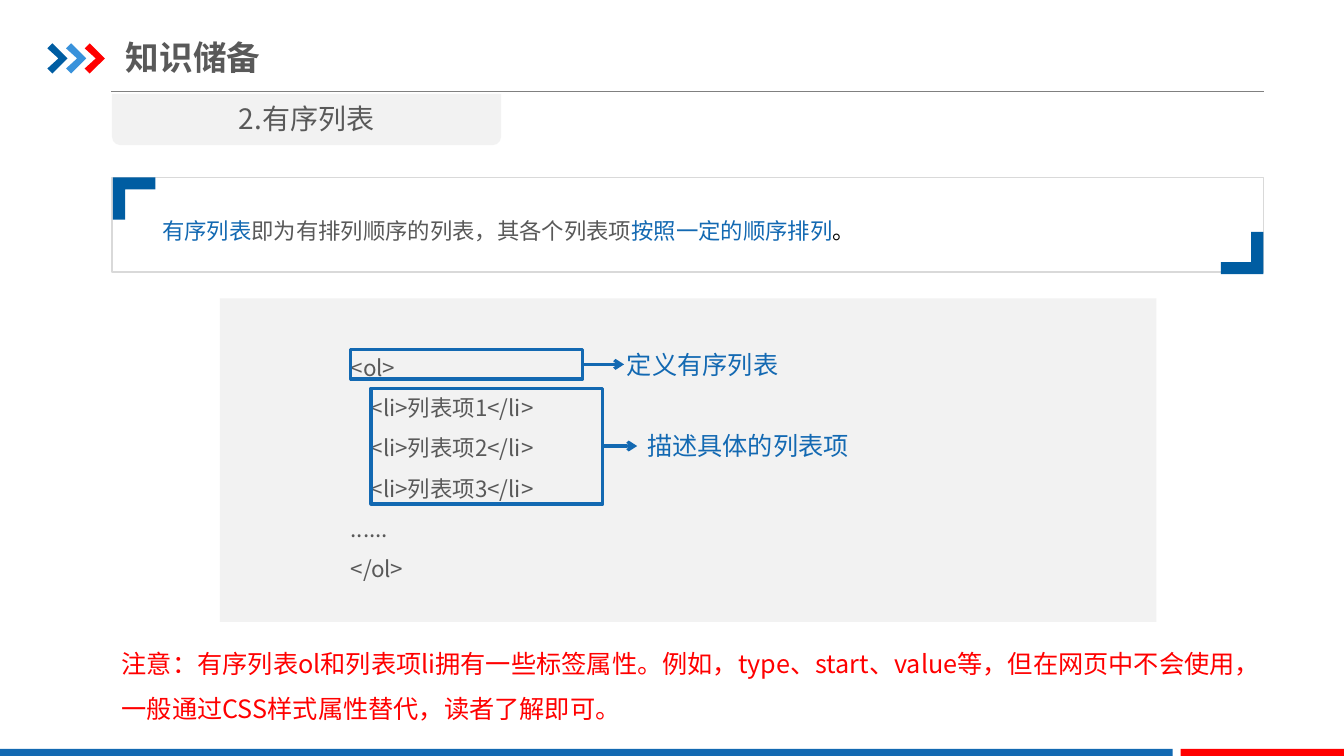
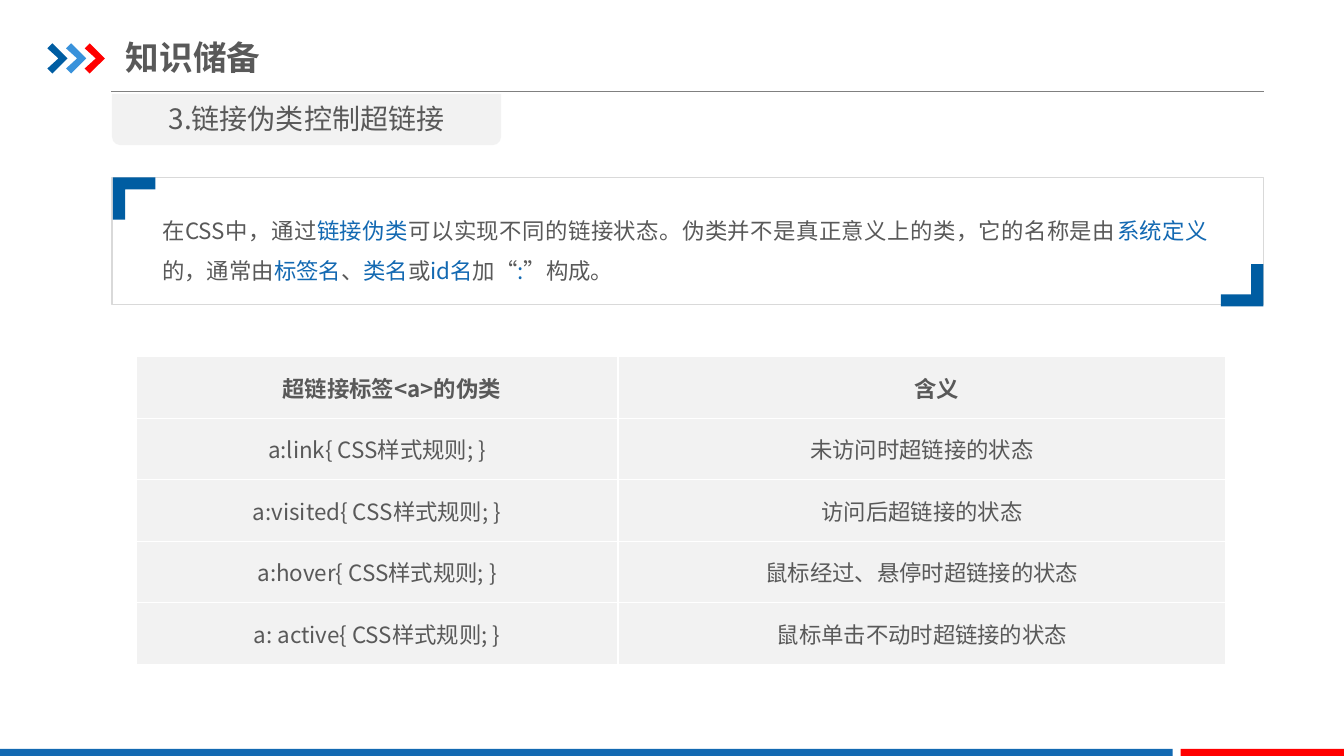
from lxml import etree
from pptx import Presentation
from pptx.dml.color import RGBColor
from pptx.enum import shapes, text
from pptx.oxml import ns
from pptx.util import Inches, Pt

FONT = "Noto Sans CJK SC"
NAVY = RGBColor(0x00, 0x5D, 0xA2)
BLUE = RGBColor(0x13, 0x69, 0xB2)
SKY = RGBColor(0x39, 0x92, 0xDB)
RED = RGBColor(0xFF, 0x00, 0x00)
BLACK = RGBColor(0x00, 0x00, 0x00)
WHITE = RGBColor(0xFF, 0xFF, 0xFF)
DARK = RGBColor(0x59, 0x59, 0x59)
GREY = RGBColor(0x80, 0x80, 0x80)
PALE = RGBColor(0xD9, 0xD9, 0xD9)
PANEL = RGBColor(0xF2, 0xF2, 0xF2)

LEFT, WIDTH = 1.11, 11.42
CALLOUT_TOP = 1.76
TEXT_INSETS = (0.1, 0.05, 0.1, 0.05)
CENTER = text.PP_ALIGN.CENTER


def add_xml(parent, tag, **attributes):
    return etree.SubElement(parent, ns.qn(tag), attributes)


def style_paragraph(paragraph, size, color=None, bold=False, align=None, spacing=None):
    paragraph.alignment = align
    paragraph.line_spacing = spacing
    font = paragraph.font
    font.name, font.size, font.bold = FONT, Pt(size), bold
    if color is not None:
        font.color.rgb = color
    add_xml(font._element, "a:ea", typeface=FONT)


def paint(shape, fill=None, line=None, line_width=1):
    shape.shadow.inherit = False
    if fill is None:
        shape.fill.background()
    else:
        shape.fill.solid()
        shape.fill.fore_color.rgb = fill
    if line is None:
        shape.line.fill.background()
    else:
        shape.line.color.rgb = line
        shape.line.width = Pt(line_width)


def add_box(slide, left, top, width, height, kind=shapes.MSO_SHAPE.RECTANGLE, **colors):
    shape = slide.shapes.add_shape(
        kind, Inches(left), Inches(top), Inches(width), Inches(height))
    paint(shape, **colors)
    return shape


def add_outline(slide, points, fill):
    """Draw a filled polygon through points given in inches."""
    corners = [(Inches(x), Inches(y)) for x, y in points]
    builder = slide.shapes.build_freeform(*corners[0])
    builder.add_line_segments(corners[1:], close=True)
    paint(builder.convert_to_shape(), fill)


def add_line(slide, start, end, color, width):
    line = slide.shapes.add_connector(
        shapes.MSO_CONNECTOR.STRAIGHT, *(Inches(value) for value in start + end))
    line.line.color.rgb = color
    line.line.width = Pt(width)
    add_xml(line._element.spPr, "a:effectLst")
    return line


def add_text(slide, left, top, width, height, paragraphs, size, color=None, wrap=True,
             insets=TEXT_INSETS, anchor=text.MSO_ANCHOR.TOP, grow=True, **style):
    """Each paragraph is a string or a list of (text, colour) runs."""
    frame = slide.shapes.add_textbox(
        Inches(left), Inches(top), Inches(width), Inches(height)).text_frame
    frame.word_wrap = wrap
    frame.vertical_anchor = anchor
    frame.auto_size = (text.MSO_AUTO_SIZE.SHAPE_TO_FIT_TEXT if grow
                       else text.MSO_AUTO_SIZE.NONE)
    (frame.margin_left, frame.margin_top,
     frame.margin_right, frame.margin_bottom) = map(Inches, insets)
    for index, content in enumerate(paragraphs):
        paragraph = frame.add_paragraph() if index else frame.paragraphs[0]
        if isinstance(content, str):
            paragraph.add_run().text = content
        else:
            for words, run_color in content:
                run = paragraph.add_run()
                run.text = words
                run.font.color.rgb = run_color
        style_paragraph(paragraph, size, color, **style)


def add_chevron(slide, left, color):
    top, width, height, notch = 0.43, 0.2, 0.3, 0.05
    middle = top + height / 2
    add_outline(slide, [
        (left, top + notch), (left + notch, top), (left + width, middle),
        (left + notch, top + height), (left, top + height - notch),
        (left + width / 2 + 0.01, middle)], color)


def add_content_slide(presentation, heading):
    slide = presentation.slides.add_slide(presentation.slide_layouts[6])
    add_line(slide, (1.1, 0.91), (12.54, 0.91), GREY, 0.75)
    for index, color in enumerate((NAVY, SKY, RED)):
        add_chevron(slide, 0.47 + index * 0.185, color)
    add_box(slide, 0, 7.43, 11.63, 0.07, fill=BLUE)
    add_box(slide, 11.71, 7.43, 1.62, 0.07, fill=RED)
    add_text(slide, 1.25, 0.29, 4.26, 0.55, ["知识储备"], 24, DARK, bold=True,
             insets=(0, 0.07, 0, 0.07), anchor=text.MSO_ANCHOR.MIDDLE, grow=False)
    tab = add_box(slide, LEFT, 0.93, 3.86, 0.51,
                  shapes.MSO_SHAPE.ROUND_2_SAME_RECTANGLE, fill=PANEL)
    tab.rotation = 180
    add_text(slide, LEFT, 0.96, 3.86, 0.44, [heading], 20, DARK, align=CENTER)
    return slide


def add_corner(slide, x, y, direction):
    """Draw an L bracket at (x, y), opening right and down for 1, left and up for -1."""
    arm, thickness = 0.42 * direction, 0.12 * direction
    add_outline(slide, [
        (x, y), (x + arm, y), (x + arm, y + thickness),
        (x + thickness, y + thickness), (x + thickness, y + arm), (x, y + arm)], NAVY)


def add_callout(slide, height, runs):
    add_box(slide, LEFT, CALLOUT_TOP, WIDTH, height, line=PALE)
    add_text(slide, 1.61, 2.02, 10.37, height - 0.5, [runs], 16, insets=(0, 0, 0, 0),
             align=text.PP_ALIGN.JUSTIFY, spacing=1.5)
    add_corner(slide, LEFT + 0.01, CALLOUT_TOP, 1)
    add_corner(slide, LEFT + WIDTH, CALLOUT_TOP + height + 0.02, -1)


def add_code_note(slide, left, top, height, arrow_end, label_left, label_width, label):
    """Frame some code lines and point an arrow from the frame to a label."""
    width, middle = 2.3, top + height / 2
    frame = add_box(slide, left, top, width, height, line=BLUE, line_width=2.25)
    arrow = add_line(slide, (left + width, middle), (arrow_end, middle), BLUE, 2.25)
    arrow.begin_connect(frame, 3)
    add_xml(arrow.line._get_or_add_ln(), "a:tailEnd", type="arrow")
    add_text(slide, label_left, middle - 0.2, label_width, 0.4, [label], 18, BLUE,
             wrap=False)


def style_cell(cell, words, header):
    cell.margin_left = cell.margin_right = Inches(0.13)
    cell.margin_top = cell.margin_bottom = 0
    cell.vertical_anchor = text.MSO_ANCHOR.MIDDLE
    paragraph = cell.text_frame.paragraphs[0]
    paragraph.add_run().text = words
    if header:
        paragraph._p.get_or_add_pPr().set("indent", str(Inches(0.29)))
    style_paragraph(paragraph, 16, DARK, bold=header, align=CENTER)
    properties = cell._tc.get_or_add_tcPr()
    for side in ("a:lnL", "a:lnR", "a:lnT", "a:lnB"):
        border = add_xml(properties, side, w=str(Pt(1)))
        add_xml(add_xml(border, "a:solidFill"), "a:srgbClr", val=str(WHITE))
    cell.fill.solid()
    cell.fill.fore_color.rgb = PANEL


def add_grid(slide, left, top, column_widths, row_height, rows):
    table = slide.shapes.add_table(
        len(rows), len(column_widths), Inches(left), Inches(top),
        Inches(sum(column_widths)), Inches(row_height * len(rows))).table
    for column, width in zip(table.columns, column_widths):
        column.width = Inches(width)
    for row_index, row in enumerate(rows):
        table.rows[row_index].height = Inches(row_height)
        for column_index, words in enumerate(row):
            style_cell(table.cell(row_index, column_index), words, row_index == 0)


def build_ordered_list(presentation):
    slide = add_content_slide(presentation, "2.有序列表")
    add_callout(slide, 0.94, [
        ("有序列表", BLUE), ("即为有排列顺序的列表，其各个列表项", DARK),
        ("按照一定的顺序排列", BLUE), ("。", BLACK)])
    add_box(slide, 2.18, 2.96, 9.29, 3.21, fill=PANEL)
    items = [f"    <li>列表项{number}</li>" for number in (1, 2, 3)]
    add_text(slide, 3.38, 3.33, 2.27, 2.93, ["<ol>", *items, "......", "</ol>"],
             16, DARK, wrap=False, spacing=1.5)
    add_code_note(slide, 3.48, 3.47, 0.29, 6.19, 6.12, 1.72, "定义有序列表")
    add_code_note(slide, 3.68, 3.85, 1.15, 6.32, 6.32, 2.22, "描述具体的列表项")
    add_text(slide, LEFT, 6.23, 11.3, 1.01, [
        "注意：有序列表ol和列表项li拥有一些标签属性。例如，type、start、value等，"
        "但在网页中不会使用，一般通过CSS样式属性替代，读者了解即可。"],
        18, RED, spacing=1.5)


def build_link_states(presentation):
    slide = add_content_slide(presentation, "3.链接伪类控制超链接")
    add_callout(slide, 1.26, [
        ("在CSS中，通过", DARK), ("链接伪类", BLUE),
        ("可以实现不同的链接状态。伪类并不是真正意义上的类，它的名称是由", DARK),
        ("系统定义", BLUE), ("的，通常由", DARK), ("标签名", BLUE), ("、", DARK),
        ("类名", BLUE), ("或", DARK), ("id名", BLUE), ("加“", DARK), (":", BLUE),
        ("”构成。", DARK)])
    add_grid(slide, 1.35, 3.54, (4.78, 6.03), 0.61, [
        ("超链接标签<a>的伪类", "含义"),
        ("a:link{ CSS样式规则; }", "未访问时超链接的状态"),
        ("a:visited{ CSS样式规则; }", "访问后超链接的状态"),
        ("a:hover{ CSS样式规则; }", "鼠标经过、悬停时超链接的状态"),
        ("a: active{ CSS样式规则; }", "鼠标单击不动时超链接的状态")])


def main():
    presentation = Presentation()
    presentation.slide_width = Inches(13.33)
    presentation.slide_height = Inches(7.5)
    build_ordered_list(presentation)
    build_link_states(presentation)
    presentation.save("out.pptx")


if __name__ == "__main__":
    main()
